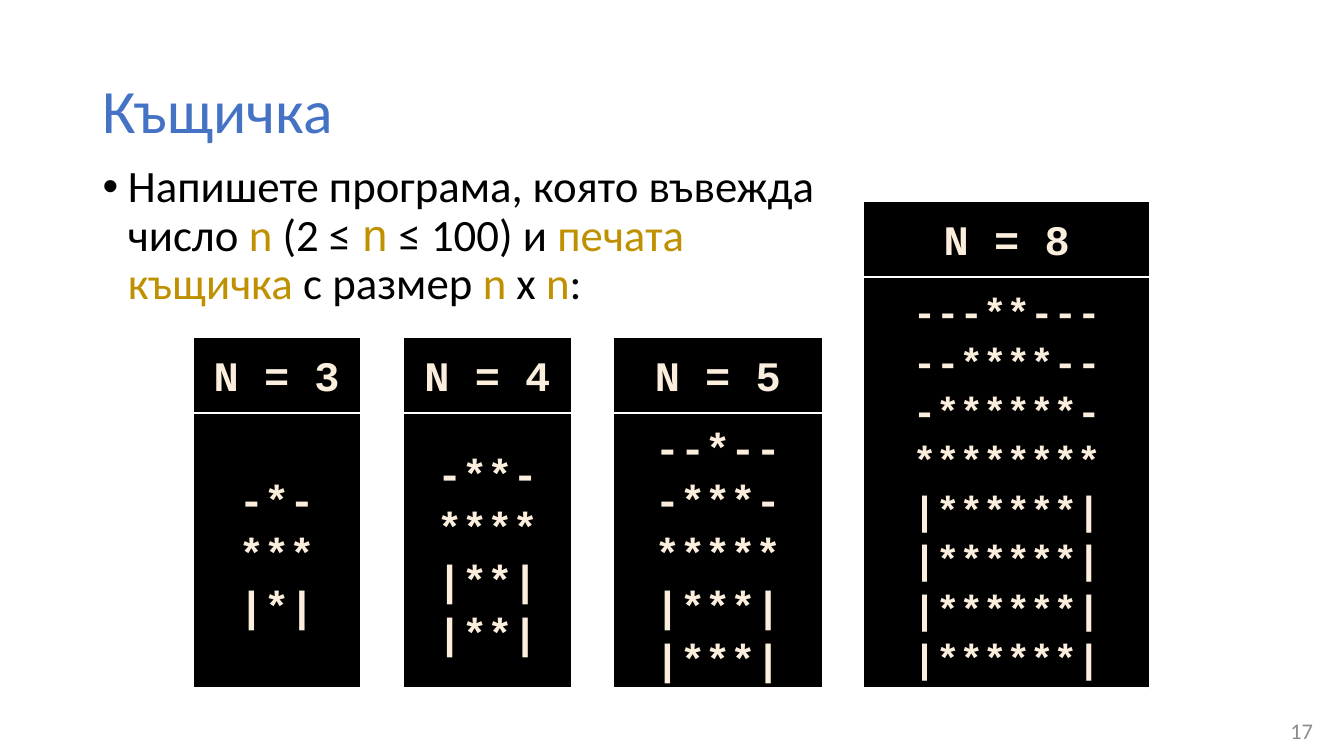
import dataclasses

import lxml.etree
import pptx
import pptx.dml.color
import pptx.enum.shapes
import pptx.enum.text
import pptx.oxml.ns
import pptx.util

PX = 9144
ALIGN = pptx.enum.text.PP_ALIGN
ANCHOR = pptx.enum.text.MSO_ANCHOR


@dataclasses.dataclass(frozen=True)
class Theme:
    """Colours, fonts and type sizes of the slide."""

    title: str = "4472C4"
    body: str = "000000"
    accent: str = "BF9000"
    number: str = "8C8C8C"
    panel: str = "000000"
    border: str = "FFFFFF"
    code: str = "FBEEDC"
    sans: str = "Calibri"
    mono: str = "Courier New"
    title_size: int = 44
    body_size: int = 32
    code_size: int = 30
    small_code_size: int = 28
    number_size: int = 16


THEME = Theme()


def rgb(value):
    """Return the colour for a hex string."""
    return pptx.dml.color.RGBColor.from_string(value)


def emu(box):
    """Turn a box in px into EMU lengths."""
    return [pptx.util.Emu(v * PX) for v in box]


def put(target, **values):
    """Set each named attribute on the target."""
    for name, value in values.items():
        setattr(target, name, value)


def add_run(p, text, size, color, name=THEME.sans, bold=False):
    """Append a formatted run to a paragraph."""
    r = p.add_run()
    r.text = text
    put(r.font, size=pptx.util.Pt(size), name=name, bold=bold)
    r.font.color.rgb = rgb(color)


def add_text(s, box, anchor=ANCHOR.TOP):
    """Add a wrapping text box and return its first paragraph."""
    tf = s.shapes.add_textbox(*emu(box)).text_frame
    put(tf, word_wrap=True, vertical_anchor=anchor)
    return tf.paragraphs[0]


def add_title(s, box):
    """Place the slide title."""
    p = add_text(s, box, ANCHOR.MIDDLE)
    p.line_spacing = 0.9
    add_run(p, "Къщичка", THEME.title_size, THEME.title)


def add_task(s, box):
    """Place the bulleted task with its highlighted words."""
    p = add_text(s, box)
    pPr = p._p.get_or_add_pPr()
    put_indent = {"marL": 25 * PX, "indent": -25 * PX}
    for name, value in put_indent.items():
        pPr.set(name, str(value))
    for tag, key, value in (("a:buFont", "typeface", "Arial"), ("a:buChar", "char", "•")):
        lxml.etree.SubElement(pPr, pptx.oxml.ns.qn(tag)).set(key, value)
    p.line_spacing = 0.9
    plain, accent = THEME.body, THEME.accent
    lines = [
        [("Напишете програма, която въвежда ", plain)],
        [("число ", plain), ("n", accent), (" (2 ≤ ", plain), ("n", accent, THEME.mono),
         (" ≤ 100) и ", plain), ("печата ", accent)],
        [("къщичка ", accent), ("с размер ", plain), ("n", accent), (" x ", plain),
         ("n", accent), (":", plain)],
    ]
    for i, line in enumerate(lines):
        if i:
            p.add_line_break()
        for text, *style in line:
            add_run(p, text, THEME.body_size, *style)


def add_panel(s, box, lines, size, spacing=1.0):
    """Place a black panel with centred code lines."""
    sp = s.shapes.add_shape(pptx.enum.shapes.MSO_SHAPE.RECTANGLE, *emu(box))
    sp.shadow.inherit = False
    sp.fill.solid()
    sp.fill.fore_color.rgb = rgb(THEME.panel)
    sp.line.color.rgb = rgb(THEME.border)
    sp.line.width = pptx.util.Pt(1.5)
    tf = sp.text_frame
    put(tf, word_wrap=True, vertical_anchor=ANCHOR.MIDDLE)
    for i, line in enumerate(lines):
        p = tf.add_paragraph() if i else tf.paragraphs[0]
        put(p, alignment=ALIGN.CENTER, line_spacing=spacing)
        add_run(p, line, size, THEME.code, THEME.mono, True)


def house(n):
    """Return the lines of a house of size n."""
    stars = range(2 - n % 2, n + 1, 2)
    roof = [("*" * k).center(n, "-") for k in stars]
    return roof + ["|" + "*" * (n - 2) + "|"] * (n // 2)


def add_example(s, box, n, size):
    """Place a header panel above the house of size n."""
    x, y, w, h = box
    head = 76
    add_panel(s, (x, y, w, head), [f"N = {n}"], THEME.code_size)
    add_panel(s, (x, y + head, w, h - head), house(n), size, 1.05)


def add_number(s, box):
    """Place the slide number."""
    p = add_text(s, box, ANCHOR.MIDDLE)
    p.alignment = ALIGN.RIGHT
    add_run(p, "17", THEME.number_size, THEME.number)


def main():
    """Build and save the slide."""
    prs = pptx.Presentation()
    put(prs, slide_width=1333 * PX, slide_height=750 * PX)
    s = prs.slides.add_slide(prs.slide_layouts[6])
    add_number(s, (1265, 714, 47, 21))
    add_task(s, (92, 158, 1075, 577))
    add_title(s, (92, 40, 1150, 145))
    bottom = 683
    examples = [
        (3, 191, 334, 167, THEME.code_size),
        (4, 400, 334, 167, THEME.code_size),
        (5, 608, 334, 208, THEME.code_size),
        (8, 856, 199, 285, THEME.small_code_size),
    ]
    for n, x, y, w, size in examples:
        add_example(s, (x, y, w, bottom - y), n, size)
    prs.save("out.pptx")


if __name__ == "__main__":
    main()
